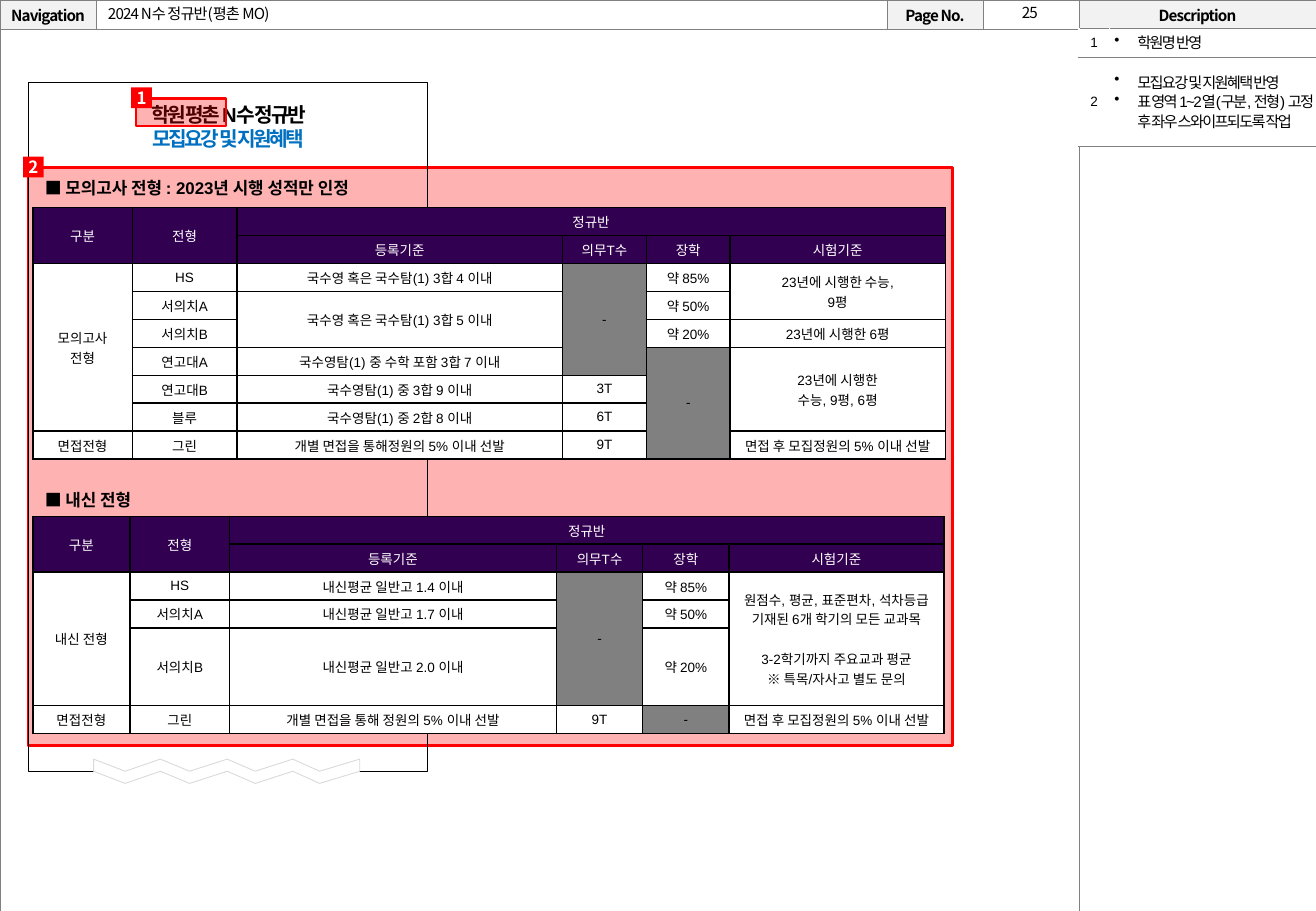
from lxml.etree import SubElement
from pptx import Presentation
from pptx.dml.color import RGBColor
from pptx.enum.shapes import MSO_SHAPE
from pptx.enum.text import MSO_ANCHOR, PP_ALIGN
from pptx.oxml import parse_xml
from pptx.oxml.ns import nsdecls, qn
from pptx.util import Inches, Pt

NOTO = "Noto Sans CJK KR"
LEFT, MID = PP_ALIGN.LEFT, PP_ALIGN.CENTER
color = RGBColor.from_string

deck = Presentation()
deck.slide_width, deck.slide_height = Inches(10.83), Inches(7.5)
slide = deck.slides.add_slide(deck.slide_layouts[6])
shapes = slide.shapes


def write(frame, text, size, face="Arial", hues=("000000",), bold=False, gap=0, align=MID):
    frame.word_wrap = True
    for i, line in enumerate(text.split("\n")):
        para = frame.paragraphs[0] if i == 0 else frame.add_paragraph()
        para.alignment = align
        run = para.add_run()
        run.text = line
        run.font.size, run.font.name, run.font.bold = Pt(size), face, bold
        run.font.color.rgb = color(hues[min(i, len(hues) - 1)])
        run._r.get_or_add_rPr().set("spc", str(gap))


def grid(left, top, wide, tall, spans, sides, hue, weight, inset):
    area = [Inches(v) for v in (left, top, sum(wide), sum(tall))]
    table = shapes.add_table(len(tall), len(wide), *area).table
    table.first_row = table.horz_banding = False
    for col, width in zip(table.columns, wide):
        col.width = Inches(width)
    for row, height in zip(table.rows, tall):
        row.height = Inches(height)
    for cell in table.iter_cells():
        cell.vertical_anchor = MSO_ANCHOR.MIDDLE
        cell.margin_left = cell.margin_right = Inches(inset)
        cell.margin_top = cell.margin_bottom = Inches(inset)
        cell.text_frame.paragraphs[0]._p.get_or_add_endParaRPr().set("sz", "800")
        props = cell._tc.get_or_add_tcPr()
        for side in sides:
            line = SubElement(props, qn("a:ln" + side), w=str(Pt(weight)))
            paint = SubElement(line, qn("a:solidFill"))
            SubElement(paint, qn("a:srgbClr"), val=hue)
        cell.fill.solid()
        cell.fill.fore_color.rgb = color("FFFFFF")
    for r1, c1, r2, c2 in spans:
        table.cell(r1, c1).merge(table.cell(r2, c2))
    return table


head = grid(0, 0, [0.79, 6.51, 0.79, 0.79, 1.95], [0.24, 7.26],
            [(1, 0, 1, 3)], "LRTB", "808080", 0.25, 0)
for col, label in ((0, "Navigation"), (2, "Page No."), (4, "Description")):
    cell = head.cell(0, col)
    cell.fill.fore_color.rgb = color("F2F2F2")
    write(cell.text_frame, label, 9, NOTO, bold=True, gap=-50)

notes = grid(8.88, 0.23, [0.25, 1.71], [0.23, 0.73], [], "RTB", "808080", 0.25, 0.04)
tasks = ["학원명 반영",
         "모집요강 및 지원혜택 반영\n표 영역 1~2열(구분, 전형) 고정 후 좌우 스와이프되도록 작업"]
for row, task in enumerate(tasks):
    write(notes.cell(row, 0).text_frame, str(row + 1), 8, gap=-100)
    frame = notes.cell(row, 1).text_frame
    write(frame, task, 9, gap=-100, align=LEFT)
    for para in frame.paragraphs:
        para.line_spacing = 0.9
        props = para._p.get_or_add_pPr()
        props.set("marL", str(Inches(0.19)))
        props.set("indent", str(Inches(-0.19)))
        props.append(parse_xml(f'<a:buChar {nsdecls("a")} char="•"/>'))

blue = ("000000", "0070C0")
texts = [
    (8.09, -0.02, 0.77, 0.25, "25", 9, NOTO, blue, False, -50, MID),
    (0.79, 0, 6.52, 0.23, "2024 N수 정규반(평촌 MO)", 9, NOTO, blue, False, -50, LEFT),
    (0.62, 0.79, 2.52, 0.5, "학원 평촌 N수 정규반\n모집요강 및 지원혜택", 12, "Arial", blue, True, -150, MID),
]
for x, y, w, h, *style in texts:
    frame = shapes.add_textbox(Inches(x), Inches(y), Inches(w), Inches(h)).text_frame
    if y == 0:
        frame.vertical_anchor = MSO_ANCHOR.MIDDLE
    write(frame, *style)

rects = [
    (0.23, 1.38, 7.61, 4.76, "FF0000", 30, "FF0000", 1.5, ""),
    (0.23, 0.68, 3.29, 5.67, None, 0, "000000", 0.25, ""),
    (1.12, 0.81, 0.74, 0.23, "FF0000", 30, "FF0000", 1.5, ""),
    (1.08, 0.72, 0.17, 0.17, "FF0000", 100, None, 0, "1"),
    (0.19, 1.29, 0.17, 0.17, "FF0000", 100, None, 0, "2"),
]
for x, y, w, h, fill, alpha, edge, weight, mark in rects:
    box = shapes.add_shape(MSO_SHAPE.RECTANGLE, Inches(x), Inches(y), Inches(w), Inches(h))
    box.shadow.inherit = False
    if fill:
        box.fill.solid()
        box.fill.fore_color.rgb = color(fill)
        paint = box._element.spPr.find(qn("a:solidFill"))[0]
        SubElement(paint, qn("a:alpha"), val=str(alpha * 1000))
    else:
        box.fill.background()
    if edge:
        box.line.color.rgb = color(edge)
        box.line.width = Pt(weight)
    else:
        box.line.fill.background()
    if mark:
        frame = box.text_frame
        frame.vertical_anchor = MSO_ANCHOR.MIDDLE
        write(frame, mark, 10, NOTO, ("FFFFFF",), True)
        frame.word_wrap = False

bends = [0.77, 1.03, 1.32, 1.56, 1.87, 2.1, 2.41, 2.63, 2.96]
low = [(Inches(x), Inches(6.35 + i % 2 * 0.1)) for i, x in enumerate(bends)]
high = [(x, y - Inches(0.1)) for x, y in reversed(low)]
pen = shapes.build_freeform(*low[0])
pen.add_line_segments(low[1:] + high, close=True)
tear = pen.convert_to_shape()
tear.shadow.inherit = False
tear.fill.solid()
tear.fill.fore_color.rgb = color("FFFFFF")
tear.line.color.rgb = color("D9D9D9")
tear.line.width = Pt(0.5)

top_rows = [["구분", "전형", "정규반", "", "", ""],
            ["", "", "등록기준", "의무T수", "장학", "시험기준"]]
top_spans = [(0, 0, 1, 0), (0, 1, 1, 1), (0, 2, 0, 5)]
mock = [
    ["모의고사\n전형", "HS", "국수영 혹은 국수탐(1) 3합 4 이내", "-", "약 85%", "23년에 시행한 수능,\n9평"],
    ["", "서의치A", "국수영 혹은 국수탐(1) 3합 5 이내", "", "약 50%", ""],
    ["", "서의치B", "", "", "약 20%", "23년에 시행한 6평"],
    ["", "연고대A", "국수영탐(1) 중 수학 포함 3합 7 이내", "", "-", "23년에 시행한\n수능, 9평, 6평"],
    ["", "연고대B", "국수영탐(1) 중 3합 9 이내", "3T", "", ""],
    ["", "블루", "국수영탐(1) 중 2합 8 이내", "6T", "", ""],
    ["면접전형", "그린", "개별 면접을 통해정원의 5% 이내 선발", "9T", "", "면접 후 모집정원의 5% 이내 선발"],
]
mock_spans = [(2, 0, 7, 0), (2, 3, 5, 3), (2, 5, 3, 5), (3, 2, 4, 2), (5, 4, 8, 4), (5, 5, 7, 5)]
exam = ("원점수, 평균, 표준편차, 석차등급\n기재된 6개 학기의 모든 교과목\n"
        "3-2학기까지 주요교과 평균\n※ 특목/자사고 별도 문의")
school = [
    ["내신 전형", "HS", "내신평균 일반고 1.4 이내", "-", "약 85%", exam],
    ["", "서의치A", "내신평균 일반고 1.7 이내", "", "약 50%", ""],
    ["", "서의치B", "내신평균 일반고 2.0 이내", "", "약 20%", ""],
    ["면접전형", "그린", "개별 면접을 통해 정원의 5% 이내 선발", "9T", "-", "면접 후 모집정원의 5% 이내 선발"],
]
school_spans = [(2, 0, 4, 0), (2, 3, 4, 3), (2, 5, 4, 5)]
parts = [
    ("■ 모의고사 전형 : 2023년 시행 성적만 인정", 1.41, 1.71,
     [0.82, 0.86, 2.68, 0.69, 0.69, 1.77], [0.23] * 9, mock, mock_spans),
    ("■ 내신 전형", 3.98, 4.25,
     [0.8, 0.82, 2.69, 0.71, 0.71, 1.77], [0.23] * 4 + [0.64, 0.23], school, school_spans),
]
for title, y, top, wide, tall, rows, spans in parts:
    label = shapes.add_textbox(Inches(0.27), Inches(y), Inches(3.18), Inches(0.27))
    write(label.text_frame, title, 10, bold=True, align=LEFT)
    table = grid(0.27, top, wide, tall, top_spans + spans, "LRTB", "000000", 1, 0.01)
    for r, row in enumerate(top_rows + rows):
        for c, text in enumerate(row):
            cell = table.cell(r, c)
            if r < 2:
                cell.fill.fore_color.rgb = color("320050")
            elif text == "-":
                cell.fill.fore_color.rgb = color("808080")
            if text:
                write(cell.text_frame, text, 8, hues=("FFFFFF" if r < 2 else "000000",))
            if text == exam:
                cell.text_frame.paragraphs[2].space_before = Pt(12)

deck.save("out.pptx")
